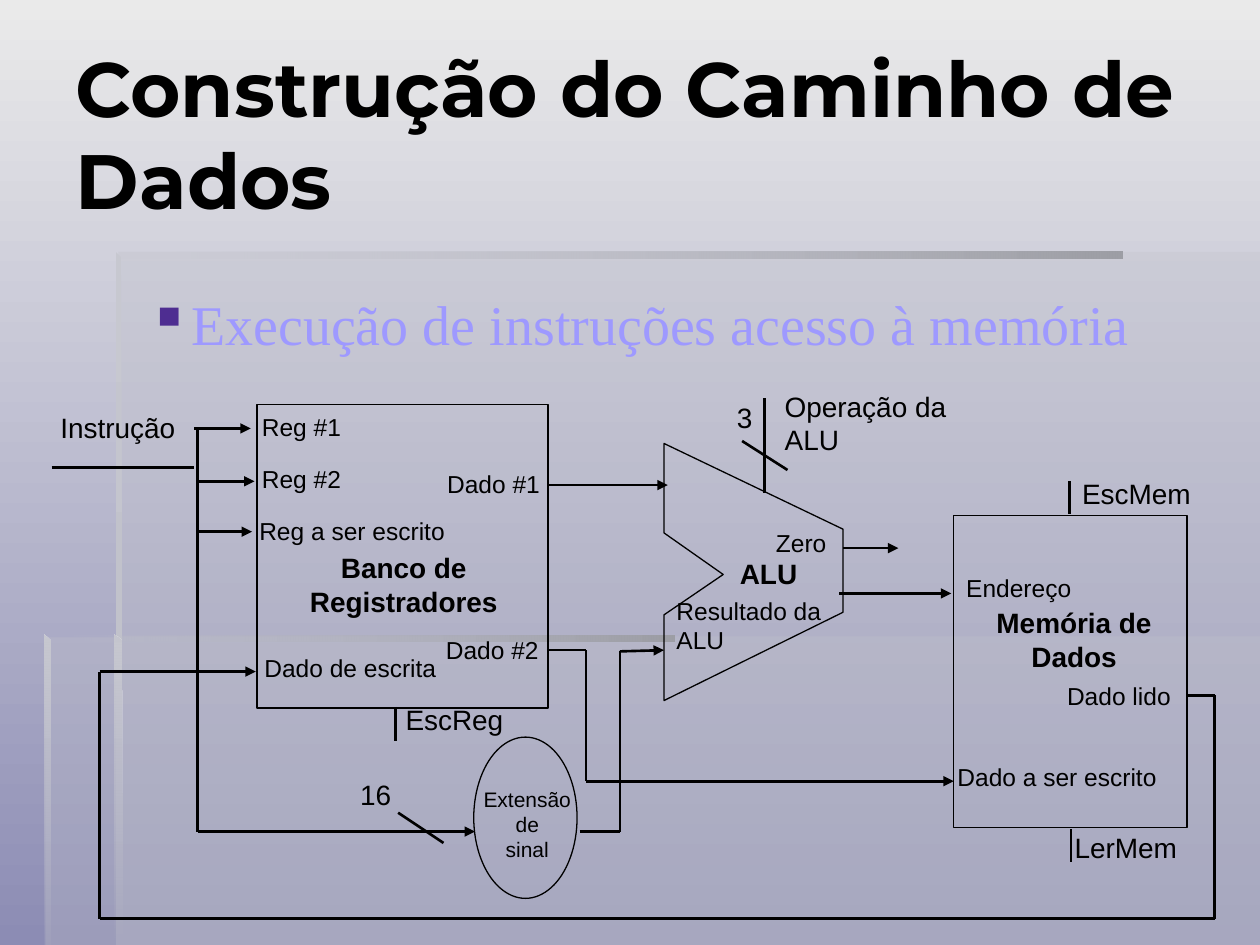
from itertools import pairwise

from lxml.etree import SubElement
from pptx import Presentation
from pptx.dml.color import RGBColor
from pptx.enum.shapes import MSO_CONNECTOR as Connector, MSO_SHAPE as Shape
from pptx.enum.text import MSO_ANCHOR as Anchor, MSO_AUTO_SIZE as AutoSize, PP_ALIGN as Align
from pptx.oxml.ns import qn
from pptx.util import Pt

PX = 9144
BLACK = RGBColor(0, 0, 0)
SKY_TOP = RGBColor(0xEA, 0xEA, 0xEA)
SKY_BOTTOM = RGBColor(0x8C, 0x8C, 0xB4)
PANEL = RGBColor(0xC1, 0xC2, 0xCB)
BAR = RGBColor(0x9D, 0x9E, 0xA5)
EDGE = RGBColor(0xC7, 0xC8, 0xD0)
LILAC = RGBColor(0x9E, 0x99, 0xFF)
BULLET = "4E2D91"

TITLE = "Construção do Caminho de Dados"
SUBTITLE = "Execução de instruções acesso à memória"

PANELS = [
    [(92, 505), (92, 750), (1000, 750), (1000, 505)],
    [(94, 506), (36, 506), (36, 750), (1000, 750), (1000, 200), (94, 200)],
]
# outline, first colour, alpha of the last colour, angle
BANDS = [
    ([(92, 200), (92, 205), (891, 205), (891, 200)], BAR, 0, 180),
    ([(92, 200), (92, 510), (97, 510), (96, 204)], EDGE, 100, 270),
    ([(91, 750), (97, 750), (96, 508), (91, 504)], EDGE, 0, 270),
    ([(35, 504), (35, 509), (535, 509), (535, 504)], BAR, 0, 180),
    ([(35, 504), (35, 750), (40, 750), (40, 509)], EDGE, 10, 270),
]

BLOCKS = [
    (Shape.RECTANGLE, 204, 321, 231, 241),
    (Shape.OVAL, 376, 585, 82, 128),
    (Shape.RECTANGLE, 757, 409, 185, 248),
]
ALU = [(527, 352), (669, 420), (669, 486), (527, 556), (527, 488), (574, 456), (527, 423)]

ARROWS = [
    [(154, 340), (199, 340)],
    [(157, 382), (202, 382)],
    [(156, 422), (200, 422)],
    [(157, 340), (157, 660), (377, 660)],
    [(435, 385), (530, 385)],
    [(434, 516), (465, 516), (465, 620), (757, 620)],
    [(460, 660), (492, 660), (492, 517), (527, 516)],
    [(669, 435), (713, 435)],
    [(666, 471), (755, 471)],
    [(943, 552), (964, 552), (964, 729), (79, 729), (79, 533), (203, 533)],
]
LINES = [
    [(41, 371), (154, 371)],
    [(607, 316), (607, 391)],
    [(589, 350), (625, 373)],
    [(314, 561), (314, 588)],
    [(316, 645), (352, 669)],
    [(850, 658), (850, 684)],
    [(849, 382), (849, 408)],
]

PORTS = [
    (198, 322, 165, 42, "Reg #1"),
    (198, 363, 157, 45, "Reg #2"),
    (196, 405, 184, 37, "Reg a ser escrito"),
    (345, 367, 148, 40, "Dado #1"),
    (344, 499, 148, 41, "Dado #2"),
    (200, 513, 196, 49, "Dado de escrita"),
    (606, 414, 66, 45, "Zero"),
    (527, 468, 172, 64, "Resultado da\nALU"),
    (750, 600, 208, 57, "Dado a ser escrito"),
    (757, 450, 131, 43, "Endereço"),
    (837, 536, 128, 40, "Dado lido"),
]
SIGNALS = [
    (613, 304, 166, 78, "Operação da ALU"),
    (312, 553, 108, 41, "EscReg"),
    (575, 313, 46, 60, "3"),
    (276, 612, 69, 65, "16"),
    (843, 654, 113, 37, "LerMem"),
    (849, 373, 133, 50, "EscMem"),
]
UNITS = [
    (548, 437, 124, 39, "ALU"),
    (227, 432, 187, 77, "Banco de Registradores"),
    (771, 476, 163, 72, "Memória de\nDados"),
]
INPUTS = [(20, 321, 147, 75, "Instrução")]
EXTENSION = [(362, 619, 113, 98, "Extensão\nde\nsinal")]
LABEL_SETS = [
    (PORTS, 14, False, Align.LEFT),
    (SIGNALS, 16, False, Align.LEFT),
    (UNITS, 16, True, Align.CENTER),
    (INPUTS, 16, False, Align.CENTER),
    (EXTENSION, 12, False, Align.CENTER),
]


def px(*lengths):
    return [length * PX for length in lengths]


def set_gradient(fill, colours, angle):
    fill.gradient()
    fill.gradient_angle = angle
    for stop, colour in zip(fill.gradient_stops, colours):
        stop.color.rgb = colour


def set_alpha(shape, percent):
    last_colour = list(shape._element.spPr.iter(qn("a:srgbClr")))[-1]
    SubElement(last_colour, qn("a:alpha"), val=str(percent * 1000))


def add_outline(slide, points):
    builder = slide.shapes.build_freeform(*points[0], scale=PX)
    builder.add_line_segments(points[1:], close=True)
    shape = builder.convert_to_shape()
    shape.shadow.inherit = False
    shape.line.fill.background()
    return shape


def set_ink(shape):
    shape.shadow.inherit = False
    shape.fill.background()
    shape.line.color.rgb = BLACK
    shape.line.width = Pt(0.75)


def add_wire(slide, points, arrow):
    for start, end in pairwise(points):
        wire = slide.shapes.add_connector(Connector.STRAIGHT, *px(*start, *end))
        wire.line.color.rgb = BLACK
        wire.line.width = Pt(1.5)
        SubElement(wire._element.spPr, qn("a:effectLst"))
    if arrow:
        SubElement(wire.line._get_or_add_ln(), qn("a:tailEnd"), type="triangle")


def set_font(para, name, size, colour, bold=False):
    font = para.font
    font.name, font.size, font.bold = name, Pt(size), bold
    font.color.rgb = colour


def add_text(slide, left, top, width, height, text):
    box = slide.shapes.add_textbox(*px(left, top, width, height))
    box.text_frame.word_wrap = True
    box.text_frame.text = text
    return box.text_frame.paragraphs


def add_title(slide):
    title = slide.shapes.title
    title.left, title.top, title.width, title.height = px(50, 27, 917, 157)
    frame = title.text_frame
    frame.text = TITLE
    frame.auto_size = AutoSize.NONE
    frame.vertical_anchor = Anchor.MIDDLE
    frame.paragraphs[0].alignment = Align.LEFT
    set_font(frame.paragraphs[0], "Montserrat", 44, BLACK, True)


def add_subtitle(slide):
    para = add_text(slide, 108, 225, 935, 64, SUBTITLE)[0]
    props = para._p.get_or_add_pPr()
    indent = 34 * PX
    props.set("marL", str(indent))
    props.set("indent", str(-indent))
    SubElement(SubElement(props, qn("a:buClr")), qn("a:srgbClr"), val=BULLET)
    SubElement(props, qn("a:buChar"), char="▪")
    set_font(para, "Times New Roman", 32, LILAC)


def main():
    deck = Presentation()
    deck.slide_width, deck.slide_height = px(1000, 750)
    slide = deck.slides.add_slide(deck.slide_layouts[5])
    set_gradient(slide.background.fill, (SKY_TOP, SKY_BOTTOM), 270)
    for points in PANELS:
        panel = add_outline(slide, points)
        panel.fill.solid()
        panel.fill.fore_color.rgb = PANEL
        set_alpha(panel, 30)
    for points, colour, alpha, angle in BANDS:
        band = add_outline(slide, points)
        set_gradient(band.fill, (colour, PANEL), angle)
        set_alpha(band, alpha)
    add_title(slide)
    add_subtitle(slide)
    for kind, *place in BLOCKS:
        set_ink(slide.shapes.add_shape(kind, *px(*place)))
    set_ink(add_outline(slide, ALU))
    for wires, arrow in ((ARROWS, True), (LINES, False)):
        for points in wires:
            add_wire(slide, points, arrow)
    for labels, size, bold, align in LABEL_SETS:
        for label in labels:
            for para in add_text(slide, *label):
                para.alignment = align
                set_font(para, "Arial", size, BLACK, bold)
    deck.save("out.pptx")


if __name__ == "__main__":
    main()
